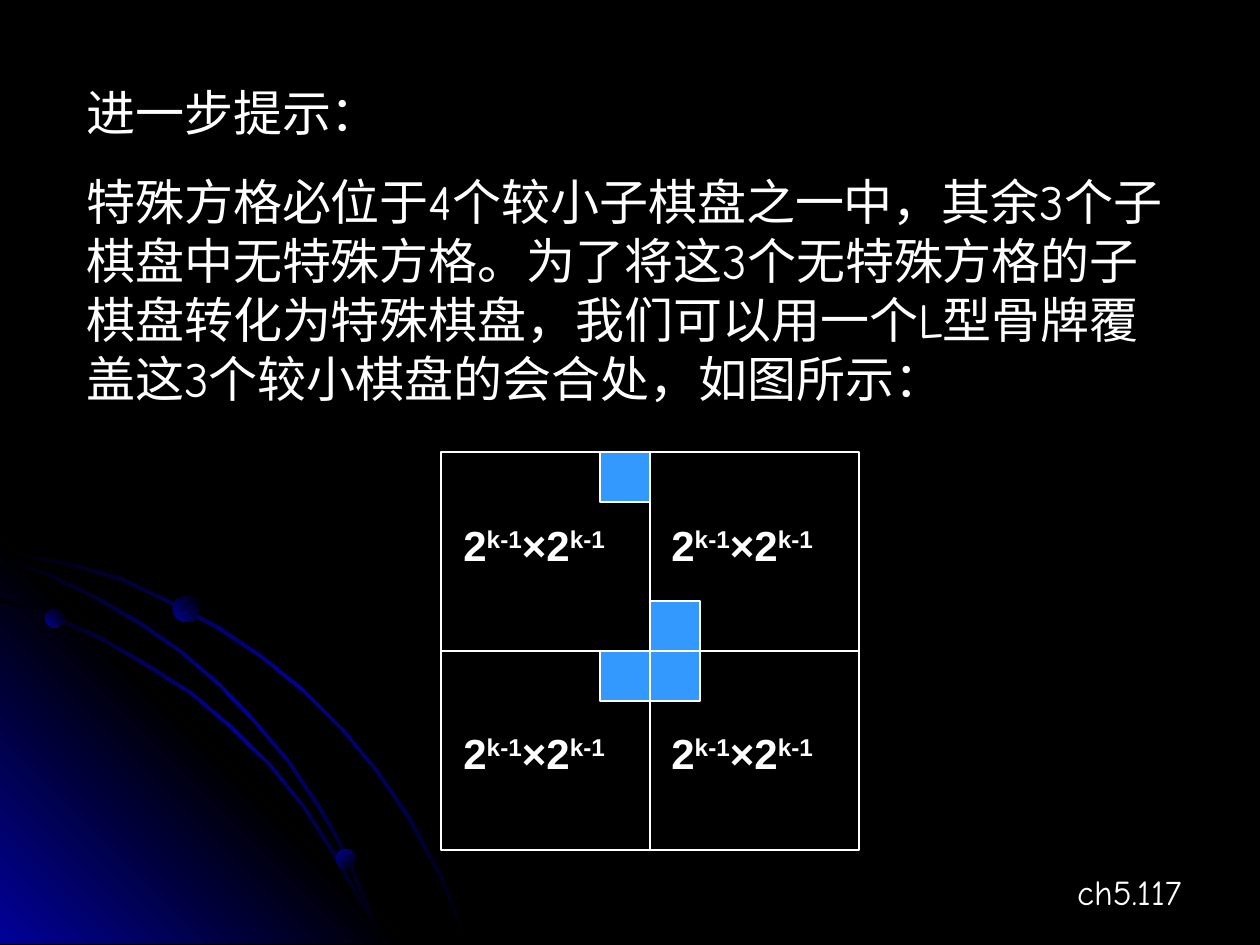
from copy import deepcopy
from dataclasses import dataclass
from itertools import product
from math import hypot

from pptx import Presentation
from pptx.dml.color import RGBColor
from pptx.enum.shapes import MSO_SHAPE as Shape
from pptx.enum.text import PP_ALIGN as Align
from pptx.oxml.ns import qn
from pptx.util import Emu, Pt

EMU_PER_PX = 914400 / 126


def px(length):
    return Emu(round(length * EMU_PER_PX))


def color(value):
    return RGBColor.from_string(value)


@dataclass(frozen=True)
class Theme:
    background: str = "000000"
    glow: str = "010199"
    text: str = "FFFFFF"
    tile: str = "3399FF"
    body_font: str = "Comic Neue"
    label_font: str = "Arial"
    body_size: int = 28
    label_size: int = 24
    footer_size: int = 20
    body_gap: float = 17.5
    border: float = 0.75


class SlideBuilder:
    def __init__(self, slide, theme):
        self.slide = slide
        self.theme = theme
        slide.background.fill.solid()
        slide.background.fill.fore_color.rgb = color(theme.background)

    def gradient(self, shape, colors, angle):
        """Evenly spaced stops; the angle runs counter-clockwise."""
        shape.shadow.inherit = False
        shape.line.fill.background()
        shape.fill.gradient()
        shape.fill.gradient_angle = angle
        stop_list = shape._element.spPr.find(".//" + qn("a:gsLst"))
        while len(stop_list) < len(colors):
            stop_list.append(deepcopy(stop_list[-1]))
        for index, stop in enumerate(shape.fill.gradient_stops):
            stop.color.rgb = color(colors[index])
            stop.position = index / (len(colors) - 1)

    def polygon(self, points, colors, angle):
        builder = self.slide.shapes.build_freeform(*points[0], scale=EMU_PER_PX)
        builder.add_line_segments(points[1:], close=True)
        self.gradient(builder.convert_to_shape(), colors, angle)

    def ribbon(self, edge, thickness=3):
        """A thin band between an outer edge and its inward offset."""
        inner = []
        for index, (x, y) in enumerate(edge):
            x0, y0 = edge[max(index - 1, 0)]
            x1, y1 = edge[min(index + 1, len(edge) - 1)]
            ratio = thickness / hypot(x1 - x0, y1 - y0)
            inner.append((max(x - (y1 - y0) * ratio, 0), min(y + (x1 - x0) * ratio, 944)))
        theme = self.theme
        self.polygon(edge + inner[::-1], [theme.background, theme.glow, theme.background], 315)

    def ball(self, left, top, size, angle):
        shape = self.slide.shapes.add_shape(Shape.OVAL, px(left), px(top), px(size), px(size))
        self.gradient(shape, [self.theme.glow, self.theme.background], angle)

    def box(self, left, top, width, height, fill=None):
        shape = self.slide.shapes.add_shape(
            Shape.RECTANGLE, px(left), px(top), px(width), px(height))
        shape.shadow.inherit = False
        if fill:
            shape.fill.solid()
            shape.fill.fore_color.rgb = color(fill)
        else:
            shape.fill.background()
        shape.line.color.rgb = color(self.theme.text)
        shape.line.width = Pt(self.theme.border)

    def text(self, left, top, width, height, paragraphs, font, size,
             bold=False, align=Align.LEFT, gap=0):
        """Each paragraph is a list of (text, is_superscript) runs."""
        frame = self.slide.shapes.add_textbox(
            px(left), px(top), px(width), px(height)).text_frame
        frame.word_wrap = True
        for index, runs in enumerate(paragraphs):
            paragraph = frame.add_paragraph() if index else frame.paragraphs[0]
            paragraph.alignment = align
            if index:
                paragraph.space_before = Pt(gap)
            for content, superscript in runs:
                run = paragraph.add_run()
                run.text = content
                run.font.name = font
                run.font.size = Pt(size)
                run.font.bold = bold
                run.font.color.rgb = color(self.theme.text)
                if superscript:
                    run.font._element.set("baseline", "30000")


OUTER_ARC = [(0, 548), (35, 556), (72, 563), (123, 578), (171, 601), (219, 626),
             (263, 656), (305, 690), (343, 728), (378, 770), (410, 816), (427, 848),
             (444, 879), (456, 911), (469, 944)]
INNER_ARC = [(0, 599), (52, 615), (100, 636), (147, 663), (192, 692), (232, 726),
             (271, 764), (305, 806), (335, 852), (360, 897), (373, 920), (382, 944)]
MIDDLE_ARC = [(0, 557), (49, 573), (96, 596), (140, 621), (181, 650), (221, 684),
              (257, 722), (289, 760), (320, 805), (339, 838), (355, 873), (370, 907),
              (382, 944)]
HINT = [
    "进一步提示：",
    "特殊方格必位于4个较小子棋盘之一中，其余3个子棋盘中无特殊方格。"
    "为了将这3个无特殊方格的子棋盘转化为特殊棋盘，"
    "我们可以用一个L型骨牌覆盖这3个较小棋盘的会合处，如图所示：",
]
BOARD_SIZE = [("2", False), ("k-1", True), ("×2", False), ("k-1", True)]


def main():
    presentation = Presentation()
    presentation.slide_width, presentation.slide_height = px(1260), px(945)
    theme = Theme()
    slide = presentation.slides.add_slide(presentation.slide_layouts[6])
    builder = SlideBuilder(slide, theme)

    # Glowing corner with orbits
    builder.ribbon(OUTER_ARC)
    builder.polygon([(406, 944), (0, 944), (0, 538)],
                    [theme.glow, theme.background, theme.glow], 45)
    builder.ribbon(INNER_ARC)
    builder.ribbon(MIDDLE_ARC)
    builder.ball(45, 609, 19, 45)
    builder.ball(336, 849, 20, 315)
    builder.ball(173, 596, 26, 45)

    # Page mark and hint
    builder.text(907, 864, 287, 55, [[("ch5.117", False)]],
                 theme.body_font, theme.footer_size, align=Align.RIGHT)
    builder.text(74, 76, 1121, 338, [[(line, False)] for line in HINT],
                 theme.body_font, theme.body_size, gap=theme.body_gap)

    # Special square, then the L-shaped domino around the board centre
    left, top, width, height, tile = 441, 452, 209, 199, 50
    center_x, center_y = left + width, top + height
    tiles = [(center_x - tile, top), (center_x, center_y - tile),
             (center_x - tile, center_y), (center_x, center_y)]
    for tile_left, tile_top in tiles:
        builder.box(tile_left, tile_top, tile, tile, theme.tile)

    # Four sub-boards and their sizes
    quadrants = list(product(range(2), repeat=2))
    for row, column in quadrants:
        builder.box(left + column * width, top + row * height, width, height)
    label_step = 208
    for row, column in quadrants:
        builder.text(451 + column * label_step, 513 + row * label_step, 199, 63,
                     [BOARD_SIZE], theme.label_font, theme.label_size, bold=True)

    presentation.save("out.pptx")


if __name__ == "__main__":
    main()
